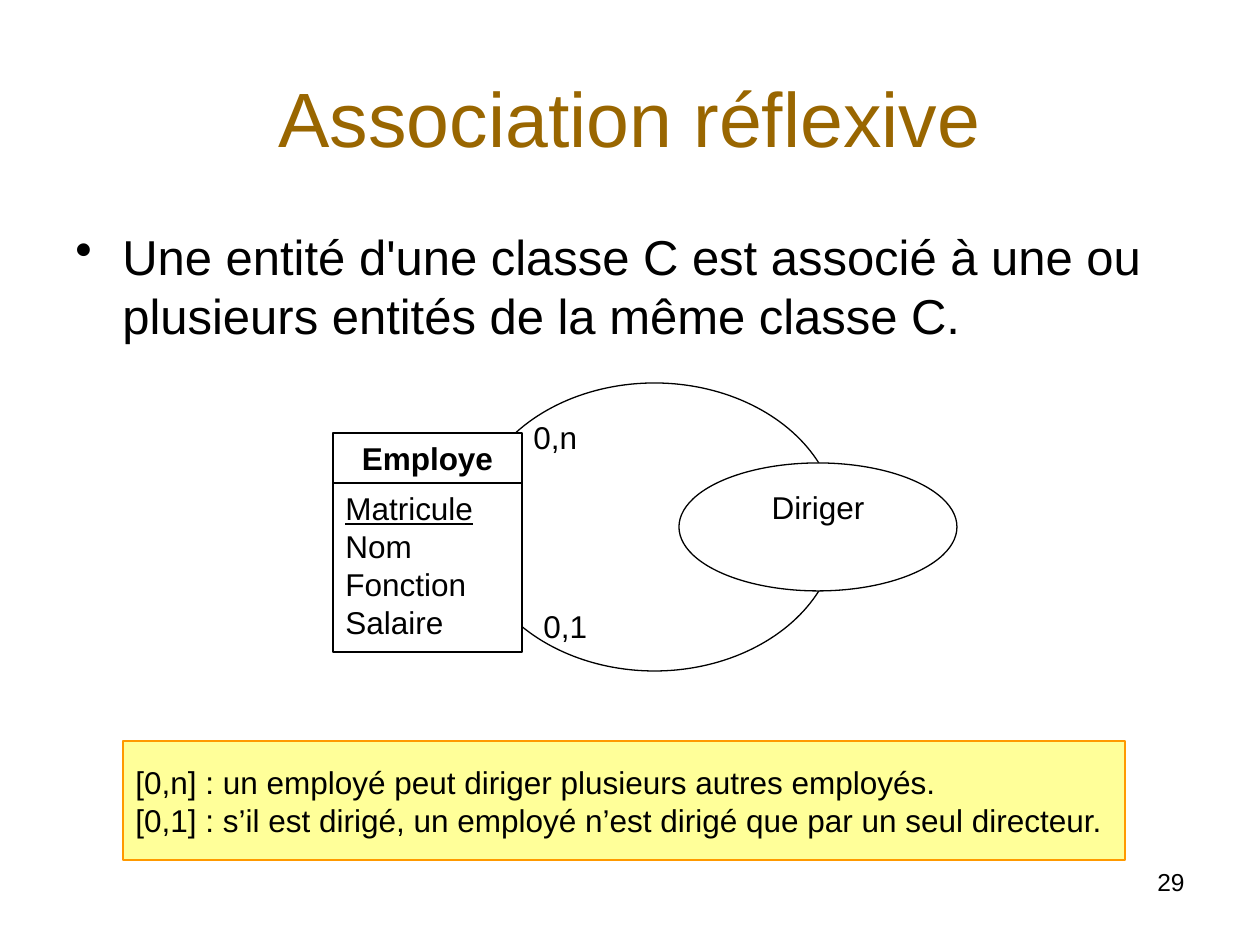
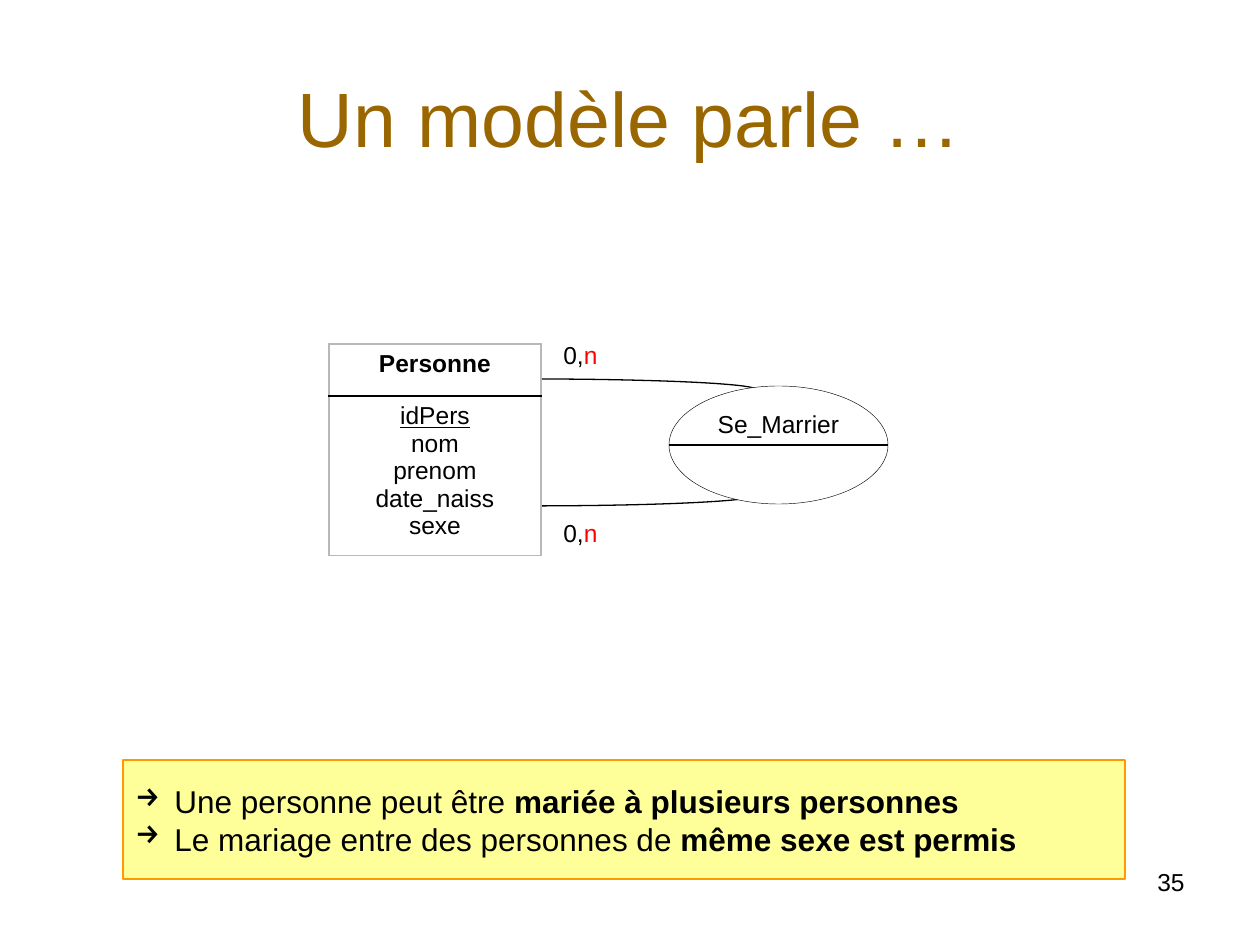
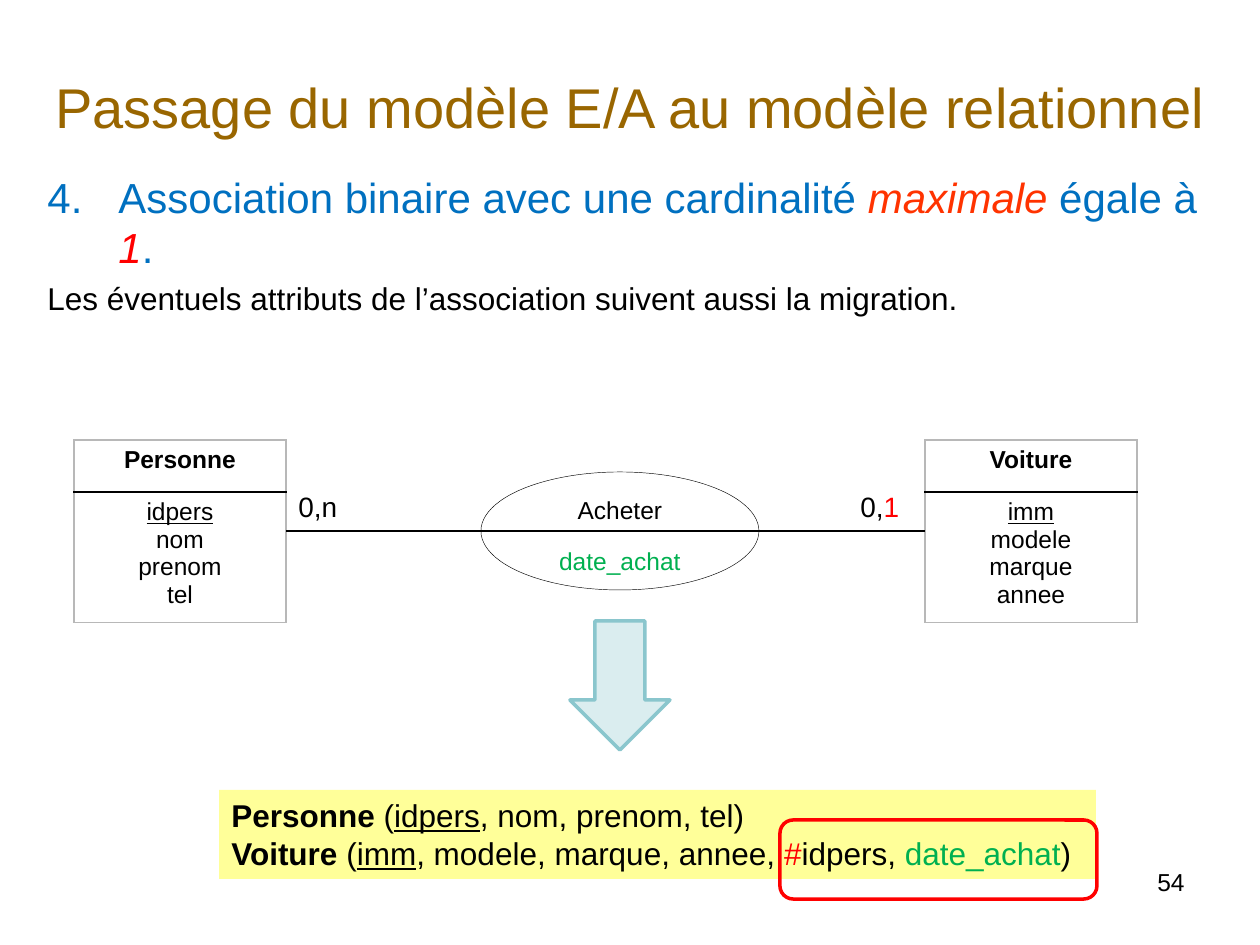
"""Builds three slides about entity-association models."""
from lxml import etree
from pptx import Presentation
from pptx.dml.color import RGBColor
from pptx.enum.shapes import MSO_CONNECTOR, MSO_SHAPE
from pptx.enum.text import MSO_ANCHOR, PP_ALIGN
from pptx.oxml.ns import qn
from pptx.util import Pt

PX = 914400 / 126
FONT = "Arial"

BLACK = RGBColor(0x00, 0x00, 0x00)
WHITE = RGBColor(0xFF, 0xFF, 0xFF)
BROWN = RGBColor(0x99, 0x66, 0x00)
RED = RGBColor(0xFF, 0x00, 0x00)
SCARLET = RGBColor(0xFF, 0x33, 0x00)
BLUE = RGBColor(0x00, 0x70, 0xC0)
GREEN = RGBColor(0x00, 0xB0, 0x50)
YELLOW = RGBColor(0xFF, 0xFF, 0x99)
ORANGE = RGBColor(0xFF, 0x99, 0x00)
PALE_TEAL = RGBColor(0xDA, 0xED, 0xEF)
TEAL = RGBColor(0x8A, 0xC6, 0xCD)
GREY = RGBColor(0xB8, 0xB8, 0xB8)

LEFT, CENTER, RIGHT = PP_ALIGN.LEFT, PP_ALIGN.CENTER, PP_ALIGN.RIGHT
TOP, MIDDLE = MSO_ANCHOR.TOP, MSO_ANCHOR.MIDDLE
RECTANGLE, OVAL = MSO_SHAPE.RECTANGLE, MSO_SHAPE.OVAL
BRACKET, DOWN_ARROW = MSO_SHAPE.RIGHT_BRACKET, MSO_SHAPE.DOWN_ARROW
ROUNDED = MSO_SHAPE.ROUNDED_RECTANGLE
STRAIGHT = MSO_CONNECTOR.STRAIGHT
SIDE_LEFT, SIDE_RIGHT = 1, 3

BOLD = {"bold": True}
KEY = {"underline": True}
HEADER_HEIGHT = 52
ENTITY_WIDTH = 212
NOTE_SIZE = (1002, 119)


def emu(*lengths):
    """Turn px lengths into EMU."""
    return [round(length * PX) for length in lengths]


def write_text(frame, lines, size, align=LEFT, anchor=TOP, color=BLACK, gap=0):
    """Write lines, each a string or a list of strings and (string, style) spans."""
    frame.word_wrap = True
    frame.vertical_anchor = anchor
    for index, line in enumerate(lines):
        para = frame.add_paragraph() if index else frame.paragraphs[0]
        para.alignment = align
        if index and gap:
            para.space_before = Pt(gap)
        for part in [line] if isinstance(line, str) else line:
            words, style = (part, {}) if isinstance(part, str) else part
            span = para.add_run()
            span.text = words
            font = span.font
            font.name, font.size = FONT, Pt(size)
            font.color.rgb = style.get("color", color)
            font.bold = style.get("bold", False)
            font.italic = style.get("italic", False)
            font.underline = style.get("underline", False)


def set_bullet(para, indent, tag, **attributes):
    """Give a paragraph a hanging bullet or number."""
    properties = para._p.get_or_add_pPr()
    (hang,) = emu(indent)
    properties.set("marL", str(hang))
    properties.set("indent", str(-hang))
    etree.SubElement(properties, qn(tag), attributes)


def add_text(page, area, lines, size, **options):
    """Add a text box and return its frame."""
    frame = page.shapes.add_textbox(*emu(*area)).text_frame
    write_text(frame, lines, size, **options)
    return frame


def add_figure(page, kind, area, fill=None, line=None, weight=0.75):
    """Add a preset shape without shadow."""
    shape = page.shapes.add_shape(kind, *emu(*area))
    shape.shadow.inherit = False
    if fill is None:
        shape.fill.background()
    else:
        shape.fill.solid()
        shape.fill.fore_color.rgb = fill
    if line is None:
        shape.line.fill.background()
    else:
        shape.line.color.rgb = line
        shape.line.width = Pt(weight)
    return shape


def add_line(page, start, end):
    """Add a thin black straight connector."""
    line = page.shapes.add_connector(STRAIGHT, *emu(*start, *end))
    line.line.color.rgb = BLACK
    line.line.width = Pt(0.75)
    etree.SubElement(line._element.spPr, qn("a:effectLst"))
    return line


def add_association(page, area, lines):
    """Add an ellipse split by a horizontal line."""
    left, top, width, height = area
    oval = add_figure(page, OVAL, area, WHITE, BLACK, 0.25)
    write_text(oval.text_frame, lines, 14, CENTER, gap=12)
    middle = top + height // 2
    add_line(page, (left, middle), (left + width, middle))


def set_borders(cell, **colors):
    """Set the cell borders, each named by its drawing tag."""
    properties = cell._tc.get_or_add_tcPr()
    for index, (tag, color) in enumerate(colors.items()):
        border = etree.Element(qn(f"a:{tag}"), w=str(Pt(1)))
        fill = etree.SubElement(border, qn("a:solidFill"))
        etree.SubElement(fill, qn("a:srgbClr"), val=str(color))
        properties.insert(index, border)


def add_entity(page, left, top, body_height, name, key, fields):
    """Add an entity table: its name above its attributes."""
    height = HEADER_HEIGHT + body_height
    frame = page.shapes.add_table(2, 1, *emu(left, top, ENTITY_WIDTH, height))
    table = frame.table
    table.first_row = table.horz_banding = False
    contents = [[[(name, BOLD)]], [[(key, KEY)], *fields]]
    edges = [(GREY, BLACK), (BLACK, GREY)]
    heights = emu(HEADER_HEIGHT, body_height)
    for index, (lines, (upper, lower)) in enumerate(zip(contents, edges)):
        table.rows[index].height = heights[index]
        cell = table.cell(index, 0)
        cell.fill.solid()
        cell.fill.fore_color.rgb = WHITE
        write_text(cell.text_frame, lines, 14, CENTER)
        set_borders(cell, lnL=GREY, lnR=GREY, lnT=upper, lnB=lower)
    return frame


def add_note(page, top, lines):
    """Add the yellow note and return its frame."""
    note = add_figure(page, RECTANGLE, (123, top, *NOTE_SIZE), YELLOW, ORANGE)
    write_text(note.text_frame, lines, 18, anchor=MIDDLE)
    return note.text_frame


def add_page(deck, title, number, area=(0, 38, 1260, 157), size=44):
    """Add a blank slide with its title and number."""
    page = deck.slides.add_slide(deck.slide_layouts[6])
    add_text(page, area, [title], size, align=CENTER, anchor=MIDDLE, color=BROWN)
    add_text(page, (903, 861, 294, 65), [number], 14, align=RIGHT)
    return page


def build_reflexive(deck):
    """Build the slide on reflexive associations."""
    page = add_page(deck, "Association réflexive", "29")
    body = add_text(page, (63, 220, 1134, 193), [
        "Une entité d'une classe C est associé à une ou plusieurs entités "
        "de la même classe C."], 28)
    set_bullet(body.paragraphs[0], 47, "a:buChar", char="•")

    add_figure(page, OVAL, (471, 383, 367, 288), line=BLACK)
    header = add_figure(page, RECTANGLE, (333, 433, 189, 50), WHITE, BLACK)
    write_text(header.text_frame, [[("Employe", BOLD)]], 18, CENTER, MIDDLE)
    attributes = add_figure(page, RECTANGLE, (333, 483, 189, 169), WHITE, BLACK)
    write_text(attributes.text_frame,
               [[("Matricule", KEY)], "Nom", "Fonction", "Salaire"], 18)
    manage = add_figure(page, OVAL, (679, 463, 278, 128), WHITE, BLACK)
    write_text(manage.text_frame, ["Diriger"], 18, CENTER)
    add_text(page, (521, 412, 72, 50), ["0,n"], 18)
    add_text(page, (531, 601, 72, 50), ["0,1"], 18)
    add_note(page, 741, [
        "[0,n] : un employé peut diriger plusieurs autres employés.",
        "[0,1] : s’il est dirigé, un employé n’est dirigé que par un seul directeur."])


def build_marriage(deck):
    """Build the slide that reads a marriage model."""
    page = add_page(deck, "Un modèle parle …", "35")
    add_figure(page, BRACKET, (530, 379, 226, 127), line=BLACK)
    add_association(page, (669, 386, 219, 118), ["Se_Marrier"])
    add_entity(page, 329, 344, 150, "Personne", "idPers",
               ["nom", "prenom", "date_naiss", "sexe"])
    for top in (334, 512):
        add_text(page, (551, top, 74, 43), [["0,", ("n", {"color": RED})]], 14)
    note = add_note(page, 760, [
        ["Une personne peut être ", ("mariée à plusieurs personnes", BOLD)],
        ["Le mariage entre des personnes de ", ("même sexe est permis", BOLD)]])
    for para in note.paragraphs:
        set_bullet(para, 39, "a:buChar", char="→")


def build_relational(deck):
    """Build the slide that turns the model into relations."""
    page = add_page(deck, "Passage du modèle E/A au modèle relationnel", "54",
                    (25, 38, 1211, 137), 32)
    body = add_text(page, (35, 165, 1201, 120), [[
        "Association binaire avec une cardinalité ",
        ("maximale ", {"color": SCARLET, "italic": True}), "égale à ",
        ("1", {"color": RED, "italic": True}), "."]], 24, color=BLUE)
    set_bullet(body.paragraphs[0], 71, "a:buAutoNum",
               type="arabicPeriod", startAt="4")
    add_text(page, (35, 273, 1201, 50), [
        "Les éventuels attributs de l’association suivent aussi la migration."], 18)

    relations = add_figure(page, RECTANGLE, (219, 790, 877, 89), YELLOW)
    write_text(relations.text_frame, [
        [("Personne ", BOLD), "(", ("idpers", KEY), ", nom, prenom, tel)"],
        [("Voiture ", BOLD), "(", ("imm", KEY), ", modele, marque, annee, ",
         ("#", {"color": RED}), "idpers, ", ("date_achat", {"color": GREEN}), ")"]], 18)
    add_figure(page, DOWN_ARROW, (570, 621, 100, 129), PALE_TEAL, TEAL, 2)

    person = add_entity(page, 74, 440, 130, "Personne", "idpers",
                        ["nom", "prenom", "tel"])
    car = add_entity(page, 925, 440, 130, "Voiture", "imm",
                     ["modele", "marque", "annee"])
    add_association(page, (481, 472, 278, 118),
                    ["Acheter", [("date_achat", {"color": GREEN})]])
    add_line(page, (481, 531), (286, 531)).end_connect(person, SIDE_RIGHT)
    add_line(page, (759, 531), (925, 531)).end_connect(car, SIDE_LEFT)
    add_text(page, (286, 483, 97, 46), ["0,n"], 16)
    add_text(page, (848, 483, 97, 46), [["0,", ("1", {"color": RED})]], 16)
    add_figure(page, ROUNDED, (780, 820, 317, 79), line=RED, weight=2)


def main():
    """Build and save the deck."""
    deck = Presentation()
    deck.slide_width, deck.slide_height = emu(1260, 945)
    build_reflexive(deck)
    build_marriage(deck)
    build_relational(deck)
    deck.save("out.pptx")


if __name__ == "__main__":
    main()
